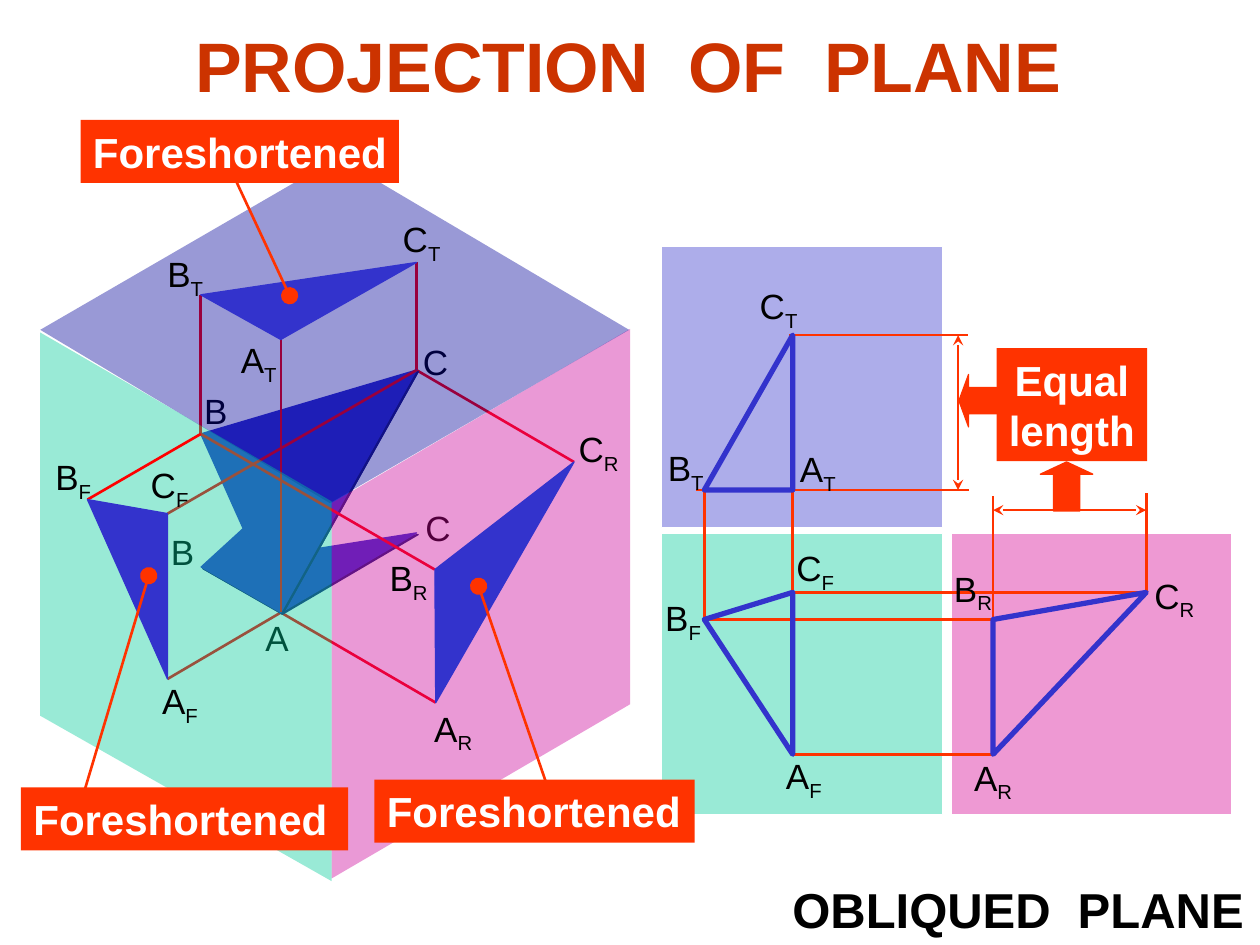
from lxml.etree import SubElement
from pptx import Presentation
from pptx.dml.color import RGBColor
from pptx.enum.shapes import MSO_CONNECTOR, MSO_SHAPE
from pptx.enum.text import MSO_ANCHOR, MSO_AUTO_SIZE, PP_ALIGN
from pptx.oxml.ns import qn
from pptx.util import Pt

BLUE, RED, ORANGE = "3333CC", "FF0000", "FF3300"
GREEN, PINK, WHITE, BLACK = "00CC99", "D60093", "FFFFFF", "000000"


def paint(fill, colour, opacity=100):
    """Make a fill, line fill or font fill solid, opacity in percent."""
    fill.solid()
    fill.fore_color.rgb = RGBColor.from_string(colour)
    if opacity < 100:
        tone = fill._xPr.find(qn("a:solidFill"))[0]
        SubElement(tone, qn("a:alpha"), val=str(opacity * 1000))


def draw_line(start, end, colour, head=None, tail=None, size="med"):
    x1, y1, x2, y2 = map(Pt, (*start, *end))
    line = page.shapes.add_connector(MSO_CONNECTOR.STRAIGHT, x1, y1, x2, y2)
    line.line.width = Pt(1.5)
    paint(line.line.fill, colour)
    properties = line._element.spPr
    outline = properties.find(qn("a:ln"))
    for tag, kind in (("a:headEnd", head), ("a:tailEnd", tail)):
        if kind:
            SubElement(outline, qn(tag), type=kind, w=size, len=size)
    SubElement(properties, qn("a:effectLst"))


deck = Presentation()
deck.slide_width, deck.slide_height = Pt(720), Pt(540)
page = deck.slides.add_slide(deck.slide_layouts[5])

# Headings
title = page.shapes.title
title.left, title.top, title.width, title.height = map(Pt, (104.5, 9.5, 509, 55.5))
subtitle = page.shapes.add_textbox(Pt(443.5), Pt(499), Pt(276.5), Pt(41))
for box, text, size, colour in (
    (title, "PROJECTION  OF  PLANE", 40, "CC3300"),
    (subtitle, "OBLIQUED  PLANE", 28, BLACK),
):
    frame = box.text_frame
    frame.text = text
    frame.word_wrap = True
    frame.margin_left = frame.margin_right = 0
    frame.auto_size = MSO_AUTO_SIZE.NONE
    frame.vertical_anchor = MSO_ANCHOR.TOP
    para = frame.paragraphs[0]
    para.alignment = PP_ALIGN.CENTER
    para.font.name, para.font.size, para.font.bold = "Arial", Pt(size), True
    paint(para.font.fill, colour)

# Backgrounds of the three flat views
for left, top, colour in ((378, 305, GREEN), (543.5, 305, PINK), (378, 141, BLUE)):
    view = page.shapes.add_shape(MSO_SHAPE.RECTANGLE, Pt(left), Pt(top), Pt(160.5), Pt(160.5))
    view.shadow.inherit = False
    paint(view.fill, colour, 40)
    paint(view.line.fill, WHITE)
    view.line.width = Pt(0.75)

# Corners of the plane in space, on the floor, and projected on the cube faces
a, b, c = (160.5, 350), (114.75, 248), (238, 211.5)
b_low, c_low = (115, 324), (238, 304.5)
at, bt, ct = (160.5, 194), (114.75, 168.5), (238, 150)
af, bf, cf = (95.75, 388), (50, 285.5), (95.75, 293.5)
ar, br, cr = (249, 401.5), (248.5, 325.5), (328, 264)

# Corners in the flat views: top, front, right
top_a, top_b, top_c = (453, 280), (402.5, 280), (453, 191.5)
front_a, front_b, front_c = (453, 431), (402.5, 354), (453, 338.5)
right_a, right_b, right_c = (567.5, 431), (567.5, 354), (655, 338.5)

# Each layer: line colour, lines, shapes, fill and opacity per shape,
# outline width, drop shadow, labels (letter, subscript, left, top)
layers = [
    (RED, [(c, ct), (a, af), (b, bt), (a, ar), (c, cr)],
     [(b_low, a, c_low), (b_low, a, c), (b, a, c)], [(BLUE, 100)] * 3, 0.75, True,
     [("B", "", 90.5, 299.5), ("C", "", 236, 286), ("A", "", 144.5, 348.5),
      ("C", "", 234.5, 191), ("B", "", 109.5, 219)]),
    (RED, [(c, cf), (a, at), (b, br)],
     [[(189.5, 287.5), (360, 188), (360, 402.5), (189.5, 502)],
      [(23, 188.5), (188.5, 287.5), (359.5, 188.5), (193, 90)],
      [(23, 190), (189.5, 286.5), (189.5, 503.5), (23, 409)]],
     [("CC0099", 40), ("000099", 40), (GREEN, 40)], 0, False, []),
    (RED, [(b, bf)], [(ar, br, cr), (bf, af, cf), (bt, at, ct)],
     [(BLUE, 100)] * 3, 0.75, False,
     [("C", "R", 323.5, 241), ("A", "R", 241, 400.5), ("B", "R", 215.5, 314.5),
      ("A", "F", 85.5, 385), ("B", "F", 24.5, 257), ("C", "F", 79, 261.5),
      ("A", "T", 130.5, 190), ("B", "T", 88.5, 141), ("C", "T", 223, 121)]),
    (ORANGE, [(front_a, right_a), (front_c, top_c), (front_b, top_b),
              (front_c, right_c), (front_b, right_b),
              ((451, 191.5), (553, 191.5)), ((398, 280), (553.5, 280)),
              (right_a, (567.5, 283.5)), (right_c, (655, 282))],
     [(top_b, top_a, top_c), (front_b, front_a, front_c), (right_c, right_b, right_a)],
     [None] * 3, 3, False,
     [("B", "F", 373, 337.5), ("A", "F", 442, 427.5), ("C", "R", 652.5, 324.5),
      ("A", "R", 549.5, 428.5), ("A", "T", 450, 252), ("C", "T", 427, 159),
      ("B", "T", 374.5, 251.5), ("C", "F", 448, 309), ("B", "R", 538, 320.5)]),
]

for colour, lines, outlines, fills, width, shadowed, labels in layers:
    for start, end in lines:
        draw_line(start, end, colour)
    for corners, fill in zip(outlines, fills):
        first, *others = [(Pt(x), Pt(y)) for x, y in corners]
        builder = page.shapes.build_freeform(*first)
        builder.add_line_segments(others, close=True)
        plane = builder.convert_to_shape()
        plane.shadow.inherit = False
        if fill:
            paint(plane.fill, *fill)
        else:
            plane.fill.background()
        if width:
            paint(plane.line.fill, BLUE)
            plane.line.width = Pt(width)
        else:
            plane.line.fill.background()
        if shadowed:
            effects = plane._element.spPr.find(qn("a:effectLst"))
            shadow = SubElement(effects, qn("a:outerShdw"), dist=str(Pt(1.4)), dir="2700000")
            SubElement(shadow, qn("a:srgbClr"), val="1E1E79")
    for letter, subscript, left, top in labels:
        box = page.shapes.add_textbox(Pt(left), Pt(top), Pt(38 if subscript else 29), Pt(34))
        box.text_frame.word_wrap = True
        para = box.text_frame.paragraphs[0]
        para.font.name, para.font.size = "Arial", Pt(20)
        paint(para.font.fill, BLACK)
        para.add_run().text = letter
        if subscript:
            span = para.add_run()
            span.text = subscript
            span.font._element.set("baseline", "-25000")

# Equal dimensions and their block arrows
draw_line((547.5, 191.5), (547.5, 280), ORANGE, "stealth", "stealth")
draw_line((567.5, 291.5), (655, 291.5), ORANGE, "stealth", "stealth")
for kind, left, top, width, height in (
    (MSO_SHAPE.UP_ARROW, 594.5, 264, 30, 28),
    (MSO_SHAPE.LEFT_ARROW, 548, 214, 22, 30),
):
    arrow = page.shapes.add_shape(kind, Pt(left), Pt(top), Pt(width), Pt(height))
    arrow.adjustments[1] = 0.25
    arrow.shadow.inherit = False
    paint(arrow.fill, ORANGE)
    paint(arrow.line.fill, ORANGE)
    arrow.line.width = Pt(0.75)

# Callouts and their pointers; narrow side margins keep each word on one line
for text, left, top, width, height, align, margin_left in (
    ("Equal\nlength", 569.5, 199, 86, 64.5, PP_ALIGN.CENTER, 0),
    ("Foreshortened", 214, 445.5, 183, 36, PP_ALIGN.LEFT, 7.2),
    ("Foreshortened", 46, 68.5, 182, 36, PP_ALIGN.LEFT, 7.2),
    ("Foreshortened", 12, 450, 187, 36, PP_ALIGN.LEFT, 7.2),
):
    callout = page.shapes.add_shape(MSO_SHAPE.RECTANGLE, Pt(left), Pt(top), Pt(width), Pt(height))
    callout.shadow.inherit = False
    paint(callout.fill, ORANGE)
    callout.line.fill.background()
    frame = callout.text_frame
    frame.text = text
    frame.word_wrap = True
    frame.margin_left, frame.margin_right = Pt(margin_left), 0
    frame.vertical_anchor = MSO_ANCHOR.TOP
    for para in frame.paragraphs:
        para.alignment = align
        para.font.name, para.font.size, para.font.bold = "Arial", Pt(24), True
        paint(para.font.fill, WHITE)
for start, end in (
    ((47.5, 454.5), (85, 329)),
    ((134, 101.5), (165.5, 169)),
    ((312, 447), (273.5, 335)),
):
    draw_line(start, end, ORANGE, tail="oval", size="lg")

deck.save("out.pptx")
